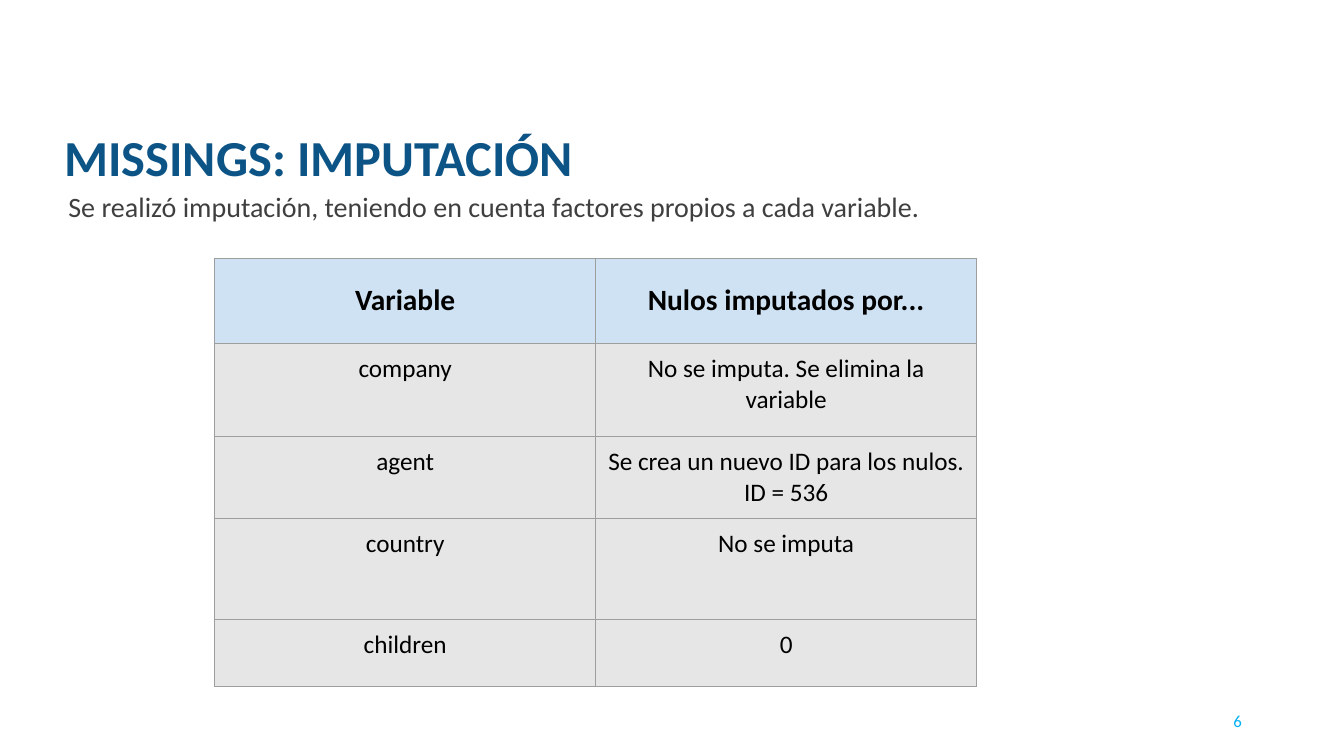
"""Build the slide on how missing values are imputed."""
from dataclasses import dataclass

import pptx
import pptx.dml.color
import pptx.enum.text
import pptx.oxml
import pptx.oxml.ns
import pptx.util
from pptx.enum.text import MSO_ANCHOR, MSO_AUTO_SIZE, PP_ALIGN


@dataclass(frozen=True)
class Theme:
    """Colours, type sizes and the font of the slide."""
    font: str = "Calibri"
    title: str = "0D5486"
    subtitle: str = "3F3F3F"
    number: str = "00B0F0"
    ink: str = "000000"
    header_fill: str = "CFE2F3"
    body_fill: str = "E7E6E6"
    border: str = "9E9E9E"
    title_size: int = 36
    subtitle_size: int = 20
    header_size: int = 21
    body_size: int = 18
    number_size: int = 12
    border_width: float = 0.75


THEME = Theme()
SLIDE_WIDTH, SLIDE_HEIGHT = pptx.util.Inches(13.33), pptx.util.Inches(7.5)
GRID_COLUMNS, GRID_ROWS = 160, 90
VARIABLE_COLUMNS = [45.36, 45.36]
VARIABLE_ROWS = [10.2, 11.04, 9.72, 12.12, 7.92]
IMPUTATIONS = [
    ("Variable", "Nulos imputados por..."),
    ("company", "No se imputa. Se elimina la variable"),
    ("agent", "Se crea un nuevo ID para los nulos. ID = 536"),
    ("country", "No se imputa"),
    ("children", "0"),
]


def across(columns):
    """Turn grid columns into a length."""
    return round(SLIDE_WIDTH * columns / GRID_COLUMNS)


def down(rows):
    """Turn grid rows into a length."""
    return round(SLIDE_HEIGHT * rows / GRID_ROWS)


def area(left, top, width, height):
    """Turn a grid rectangle into slide lengths."""
    return across(left), down(top), across(width), down(height)


def rgb(colour):
    """Turn a hexadecimal string into a colour."""
    return pptx.dml.color.RGBColor.from_string(colour)


def write(frame, text, *, size, colour, bold=False, align=PP_ALIGN.LEFT,
          anchor=MSO_ANCHOR.TOP, spacing=None):
    """Put one formatted paragraph into a text frame."""
    frame.word_wrap = True
    frame.vertical_anchor = anchor
    paragraph = frame.paragraphs[0]
    paragraph.alignment = align
    if spacing:
        paragraph.line_spacing = spacing
    run = paragraph.add_run()
    run.text = text
    run.font.name = THEME.font
    run.font.size = pptx.util.Pt(size)
    run.font.bold = bold
    run.font.color.rgb = rgb(colour)


def add_title(slide, text):
    """Place and format the title placeholder."""
    title = slide.shapes.title
    title.left, title.top, title.width, title.height = area(6.24, 13.56, 104.76, 8.52)
    frame = title.text_frame
    frame.margin_left = frame.margin_right = pptx.util.Inches(0.12)
    frame.margin_top = frame.margin_bottom = pptx.util.Inches(0.05)
    frame.auto_size = MSO_AUTO_SIZE.SHAPE_TO_FIT_TEXT
    write(frame, text, size=THEME.title_size, colour=THEME.title, bold=True,
          anchor=MSO_ANCHOR.MIDDLE, spacing=1.23)


def add_text(slide, place, text, **style):
    """Add a text box in a grid rectangle."""
    write(slide.shapes.add_textbox(*area(*place)).text_frame, text, **style)


def outline(cell):
    """Draw the four borders of a table cell."""
    properties = cell._tc.get_or_add_tcPr()
    width = pptx.util.Pt(THEME.border_width)
    for position, side in enumerate(("lnL", "lnR", "lnT", "lnB")):
        properties.insert(position, pptx.oxml.parse_xml(
            f'<a:{side} {pptx.oxml.ns.nsdecls("a")} w="{width}"><a:solidFill>'
            f'<a:srgbClr val="{THEME.border}"/></a:solidFill></a:{side}>'))


def fill_cell(cell, text, is_header):
    """Write and format one table cell."""
    cell.margin_left = cell.margin_right = pptx.util.Inches(0.1)
    cell.margin_top = cell.margin_bottom = pptx.util.Inches(0.1)
    cell.fill.solid()
    cell.fill.fore_color.rgb = rgb(THEME.header_fill if is_header else THEME.body_fill)
    outline(cell)
    write(cell.text_frame, text, colour=THEME.ink, bold=is_header, align=PP_ALIGN.CENTER,
          size=THEME.header_size if is_header else THEME.body_size)
    cell.vertical_anchor = MSO_ANCHOR.MIDDLE if is_header else MSO_ANCHOR.TOP


def add_imputation_table(slide, left, top):
    """Add the table of variables and their imputation."""
    place = area(left, top, sum(VARIABLE_COLUMNS), sum(VARIABLE_ROWS))
    table = slide.shapes.add_table(len(IMPUTATIONS), len(VARIABLE_COLUMNS), *place).table
    for column, width in zip(table.columns, VARIABLE_COLUMNS):
        column.width = across(width)
    for row, height in zip(table.rows, VARIABLE_ROWS):
        row.height = down(height)
    for row_index, imputation in enumerate(IMPUTATIONS):
        for column_index, text in enumerate(imputation):
            fill_cell(table.cell(row_index, column_index), text, row_index == 0)


def main():
    """Build and save the slide."""
    presentation = pptx.Presentation()
    presentation.slide_width, presentation.slide_height = SLIDE_WIDTH, SLIDE_HEIGHT
    slide = presentation.slides.add_slide(presentation.slide_layouts.get_by_name("Title Only"))
    add_title(slide, "MISSINGS: IMPUTACIÓN")
    add_text(slide, (6.96, 21.96, 146.04, 5.28),
             "Se realizó imputación, teniendo en cuenta factores propios a cada variable.",
             size=THEME.subtitle_size, colour=THEME.subtitle)
    add_imputation_table(slide, 25.56, 30.72)
    add_text(slide, (113.04, 83.4, 36, 4.8), "6", size=THEME.number_size,
             colour=THEME.number, align=PP_ALIGN.RIGHT, anchor=MSO_ANCHOR.MIDDLE)
    presentation.save("out.pptx")


if __name__ == "__main__":
    main()
